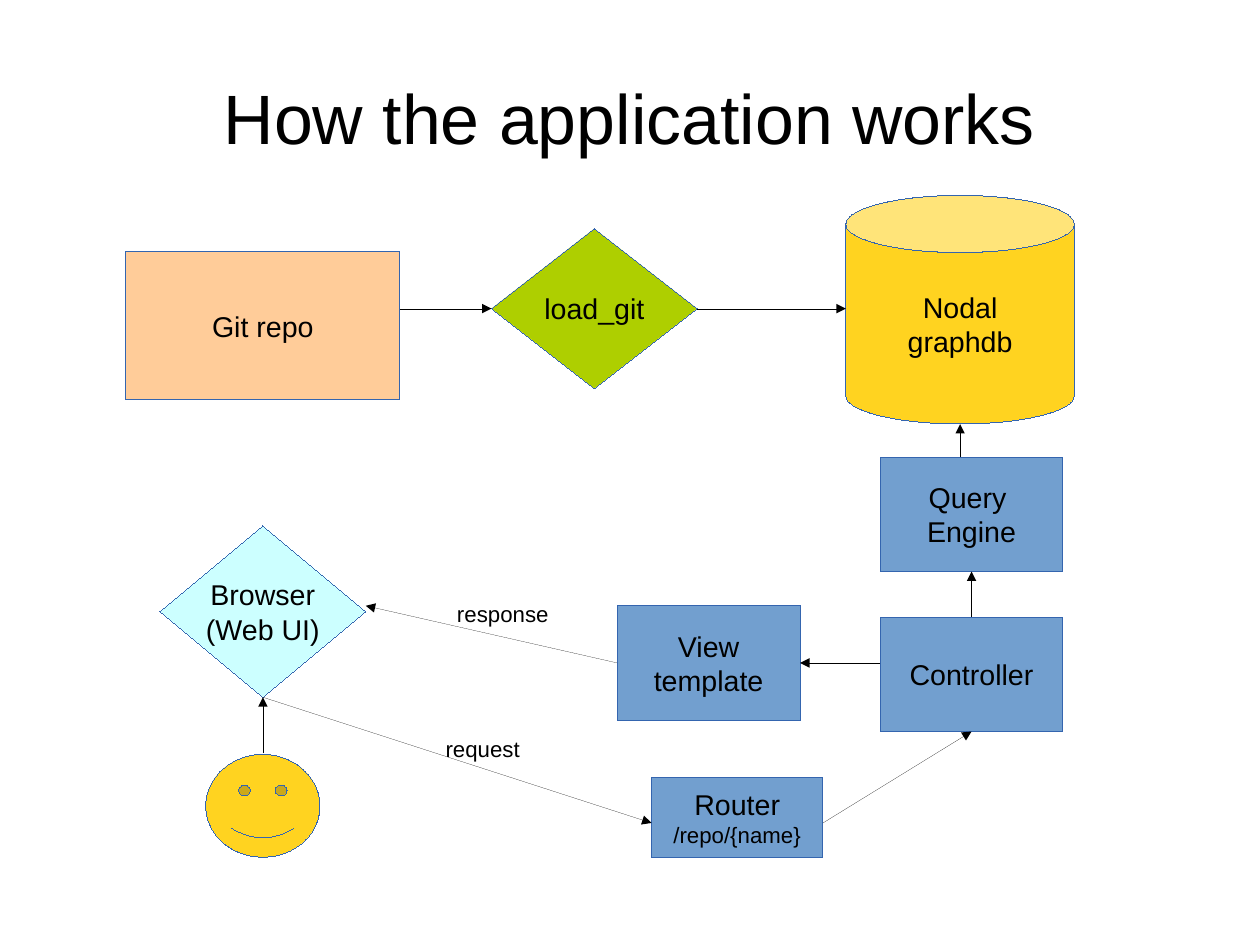
"""Builds a one-slide diagram of how the application works."""
from lxml import etree
from pptx import Presentation
from pptx.dml.color import RGBColor
from pptx.enum.shapes import MSO_CONNECTOR, MSO_SHAPE
from pptx.enum.text import MSO_ANCHOR, PP_ALIGN
from pptx.oxml.ns import qn
from pptx.util import Cm, Inches, Pt

RECTANGLE = MSO_SHAPE.RECTANGLE
DIAMOND = MSO_SHAPE.DIAMOND
DECISION = MSO_SHAPE.FLOWCHART_DECISION
CAN = MSO_SHAPE.CAN
SMILEY = MSO_SHAPE.SMILEY_FACE
STRAIGHT = MSO_CONNECTOR.STRAIGHT
MIDDLE, TOP_ANCHOR = MSO_ANCHOR.MIDDLE, MSO_ANCHOR.TOP
CENTER, LEFT_ALIGN = PP_ALIGN.CENTER, PP_ALIGN.LEFT
TOP, LEFT, BOTTOM, RIGHT = range(4)

BLACK = RGBColor(0x00, 0x00, 0x00)
OUTLINE = RGBColor(0x34, 0x65, 0xAF)
PEACH = RGBColor(0xFF, 0xCC, 0x99)
GREEN = RGBColor(0xAE, 0xCF, 0x00)
YELLOW = RGBColor(0xFF, 0xD3, 0x20)
CYAN = RGBColor(0xCC, 0xFF, 0xFF)
BLUE = RGBColor(0x72, 0x9F, 0xCF)

CELL = Inches(0.1)


def grid(*cells):
    return [round(CELL * cell) for cell in cells]


def write(shape, lines, sizes=(18,), align=CENTER, anchor=MIDDLE, wrap=False):
    frame = shape.text_frame
    frame.word_wrap = wrap
    frame.vertical_anchor = anchor
    frame.text = "\n".join(lines)
    for index, paragraph in enumerate(frame.paragraphs):
        paragraph.alignment = align
        font = paragraph.runs[0].font
        font.name = "Arial"
        font.size = Pt(sizes[min(index, len(sizes) - 1)])
        font.color.rgb = BLACK


presentation = Presentation()
presentation.slide_width = Cm(28)
presentation.slide_height = Cm(21)
slide = presentation.slides.add_slide(presentation.slide_layouts[6])

title = slide.shapes.add_textbox(*grid(5.5, 3.3, 99.2, 13.8))
write(title, ["How the application works"], sizes=(44,), wrap=True)

nodes = {
    "repo": (RECTANGLE, PEACH, (11, 22, 24, 13), ["Git repo"], (18,)),
    "loader": (DIAMOND, GREEN, (43, 20, 18, 14), ["load_git"], (18,)),
    "database": (CAN, YELLOW, (74, 17.1, 20, 20), ["Nodal", "graphdb"], (18,)),
    "browser": (DECISION, CYAN, (14, 46, 18, 15), ["Browser", "(Web UI)"], (18,)),
    "user": (SMILEY, YELLOW, (18, 66, 10, 9), [], ()),
    "view": (RECTANGLE, BLUE, (54, 53, 16, 10), ["View", "template"], (18,)),
    "controller": (RECTANGLE, BLUE, (77, 54, 16, 10), ["Controller"], (18,)),
    "query": (RECTANGLE, BLUE, (77, 40, 16, 10), ["Query ", "Engine"], (18,)),
    "router": (RECTANGLE, BLUE, (57, 68, 15, 7), ["Router", "/repo/{name}"], (18, 14)),
}
shapes = {}
for name, (kind, color, box, lines, sizes) in nodes.items():
    shape = slide.shapes.add_shape(kind, *grid(*box))
    shape.shadow.inherit = False
    shape.fill.solid()
    shape.fill.fore_color.rgb = color
    shape.line.color.rgb = OUTLINE
    shape._element.spPr.find(qn("a:ln")).set("w", "0")
    if lines:
        write(shape, lines, sizes=sizes)
    shapes[name] = shape

arrows = [
    ((35, 27), (43, 27), None, ("loader", LEFT)),
    ((61, 27), (74, 27), ("loader", RIGHT), None),
    ((23, 65.9), (23, 61), None, ("browser", BOTTOM)),
    ((84, 40), (84, 37.1), None, None),
    ((85, 54), (85, 50), ("controller", TOP), ("query", BOTTOM)),
    ((77, 58), (70, 58), None, ("view", RIGHT)),
    ((54, 58), (32, 53), ("view", LEFT), None),
    ((23, 61), (57, 72), ("browser", BOTTOM), None),
    ((72, 72), (85, 64), None, ("controller", BOTTOM)),
]
for start, end, source, target in arrows:
    arrow = slide.shapes.add_connector(STRAIGHT, *grid(*start, *end))
    if source:
        arrow.begin_connect(shapes[source[0]], source[1])
    if target:
        arrow.end_connect(shapes[target[0]], target[1])
    arrow.line.color.rgb = BLACK
    properties = arrow._element.spPr
    outline = properties.find(qn("a:ln"))
    outline.set("w", "0")
    etree.SubElement(outline, qn("a:tailEnd"), type="triangle")
    etree.SubElement(properties, qn("a:effectLst"))

for label, box in (("response", (39, 52, 10, 3.2)), ("request", (38, 63.8, 8.5, 3.2))):
    caption = slide.shapes.add_textbox(*grid(*box))
    write(caption, [label], sizes=(14,), align=LEFT_ALIGN, anchor=TOP_ANCHOR)

presentation.save("out.pptx")
